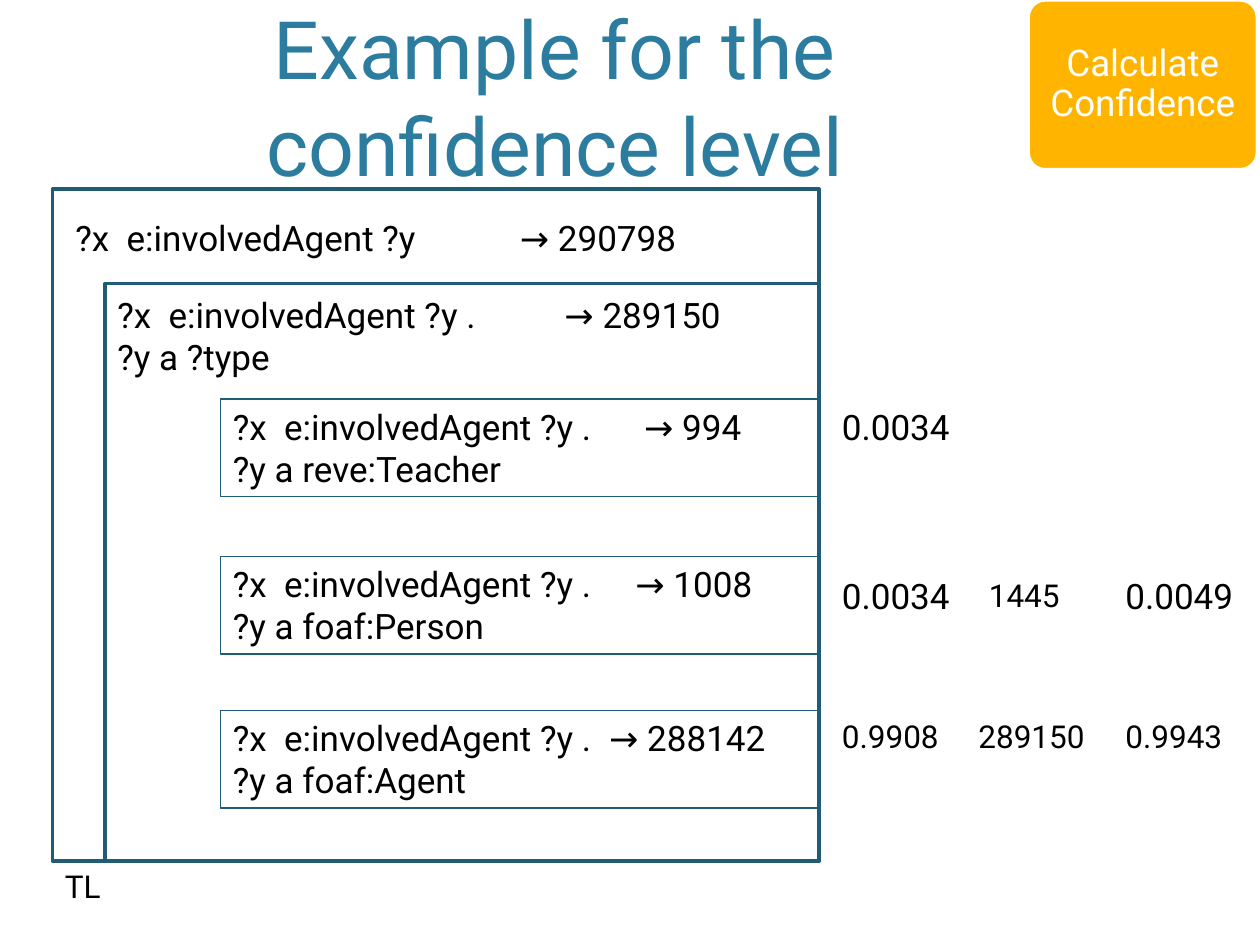
"""Build a slide showing how the confidence level follows from query counts."""
from dataclasses import dataclass

from lxml.etree import SubElement
from pptx import Presentation
from pptx.dml.color import RGBColor
from pptx.enum.shapes import MSO_SHAPE as Shape
from pptx.enum.text import MSO_ANCHOR as Anchor, MSO_AUTO_SIZE as AutoSize, PP_ALIGN as Align
from pptx.oxml.ns import qn
from pptx.util import Pt


@dataclass(frozen=True)
class Theme:
    font: str = "Roboto"
    title: RGBColor = RGBColor(0x2C, 0x7C, 0x9F)
    ink: RGBColor = RGBColor(0, 0, 0)
    frame: RGBColor = RGBColor(0x21, 0x5C, 0x76)
    accent: RGBColor = RGBColor(0xFF, 0xB4, 0x00)
    white: RGBColor = RGBColor(0xFF, 0xFF, 0xFF)
    title_size: int = 46
    step_size: int = 21
    query_size: int = 20
    note_size: int = 18


theme = Theme()


def write(part, lines, size, color, align=Align.LEFT, anchor=Anchor.TOP, fit=AutoSize.NONE):
    frame = part.text_frame
    frame.text = "\n".join(lines)
    frame.word_wrap = True
    frame.auto_size = fit
    frame.vertical_anchor = anchor
    for paragraph in frame.paragraphs:
        paragraph.alignment = align
        paragraph.font.name = theme.font
        paragraph.font.size = Pt(size)
        paragraph.font.color.rgb = color
    return frame.paragraphs[0]


def add_box(kind, left, top, width, height, line, weight, fill=None):
    box = slide.shapes.add_shape(kind, Pt(left), Pt(top), Pt(width), Pt(height))
    box.shadow.inherit = False
    box.line.color.rgb = line
    box.line.width = Pt(weight)
    if fill is None:
        box.fill.background()
    else:
        box.fill.solid()
        box.fill.fore_color.rgb = fill
    return box


deck = Presentation()
deck.slide_width, deck.slide_height = Pt(720), Pt(540)
slide = deck.slides.add_slide(deck.slide_layouts[5])

title = slide.shapes.title
title.left, title.top, title.width, title.height = Pt(43.2), Pt(8.6), Pt(547.2), Pt(105.1)
write(title, ["Example for the confidence level"], theme.title_size, theme.title,
      Align.CENTER, Anchor.BOTTOM)

right_edge = 468
bottom_edge = 492
type_left = 126
queries = [
    (36, 120, 31.5, 254, ["?x  e:involvedAgent ?y\t→ 290798"]),
    (60, 164, 55.7, 255.5, ["?x  e:involvedAgent ?y .\t→ 289150", "?y a ?type"]),
    (type_left, 228, 55.7, 235, ["?x  e:involvedAgent ?y .\t→ 994", "?y a reve:Teacher"]),
    (type_left, 318, 55.7, 230, ["?x  e:involvedAgent ?y .\t→ 1008", "?y a foaf:Person"]),
    (type_left, 406, 55.7, 215, ["?x  e:involvedAgent ?y .\t→ 288142", "?y a foaf:Agent"]),
]
for left, top, height, count_stop, lines in queries:
    if left == type_left:
        query = add_box(Shape.RECTANGLE, left, top, right_edge - left, height, theme.frame, 0.75)
    else:
        query = slide.shapes.add_textbox(Pt(left), Pt(top), Pt(432), Pt(height))
    pattern = write(query, lines, theme.query_size, theme.ink, fit=AutoSize.SHAPE_TO_FIT_TEXT)
    stops = SubElement(pattern._p.get_or_add_pPr(), qn("a:tabLst"))
    SubElement(stops, qn("a:tab"), pos=str(Pt(count_stop)), algn="l")
    pattern._p.pPr.insert(0, stops)

values = [
    (474, 228, 126, theme.query_size, "0.0034"),
    (474, 325, 126, theme.query_size, "0.0034"),
    (636, 325, 84, theme.query_size, "0.0049"),
    (558, 325.5, 66, theme.note_size, "1445"),
    (474, 406, 78, theme.note_size, "0.9908"),
    (552, 406, 84, theme.note_size, "289150"),
    (636, 406, 78, theme.note_size, "0.9943"),
    (30, bottom_edge, 270, theme.note_size, "TL"),
]
for left, top, width, size, value in values:
    label = slide.shapes.add_textbox(Pt(left), Pt(top), Pt(width), Pt(1.2 * size + 7.2))
    write(label, [value], size, theme.ink, fit=AutoSize.SHAPE_TO_FIT_TEXT)

for left, top in [(30, 108), (60, 162)]:
    add_box(Shape.RECTANGLE, left, top, right_edge - left, bottom_edge - top, theme.frame, 2)

step = add_box(Shape.ROUNDED_RECTANGLE, 587.5, 0, 131, 97, theme.white, 2, theme.accent)
step.adjustments[0] = 0.1
step_text = write(step, ["Calculate Confidence"], theme.step_size, theme.white,
                  Align.CENTER, Anchor.MIDDLE)
step_text.line_spacing = 0.9

deck.save("out.pptx")
